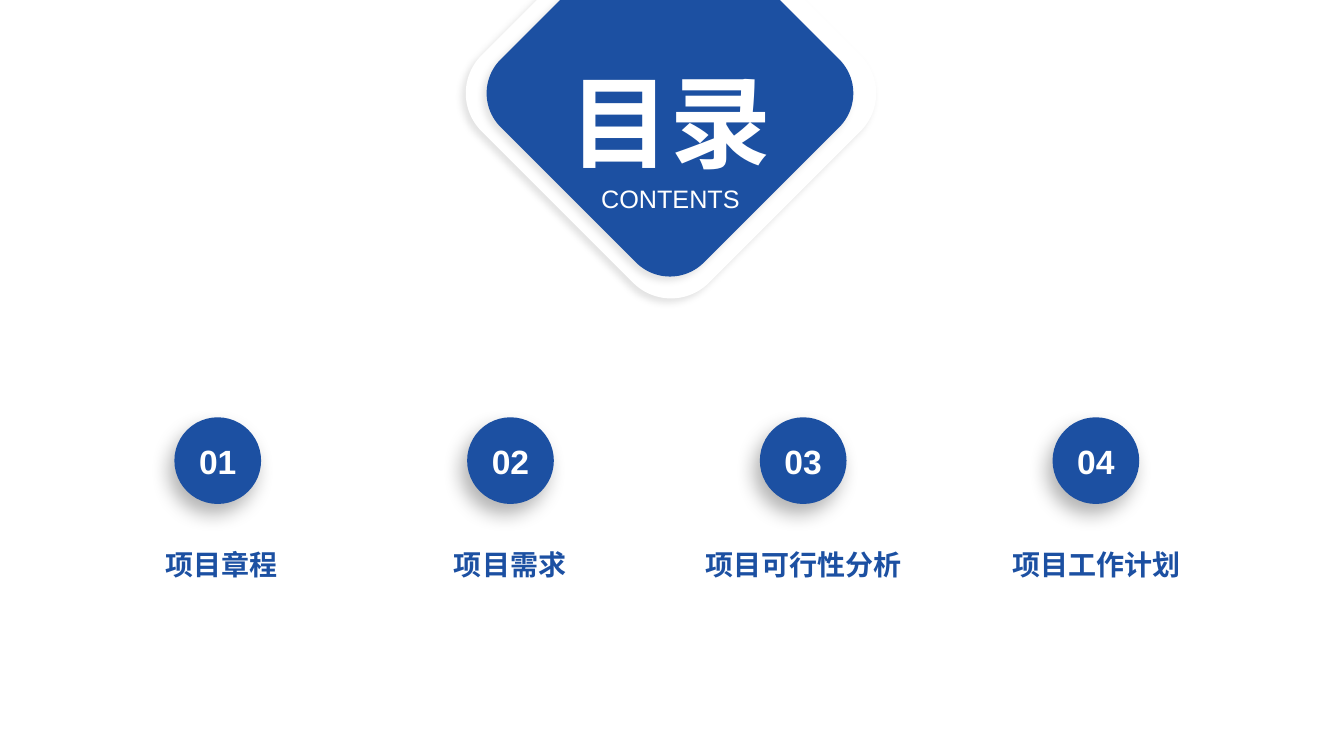
from lxml import etree
from pptx import Presentation
from pptx.dml.color import RGBColor
from pptx.enum.shapes import MSO_SHAPE
from pptx.enum.text import MSO_ANCHOR, MSO_AUTO_SIZE, PP_ALIGN
from pptx.oxml.ns import qn
from pptx.util import Inches, Pt

ROUNDED, OVAL = MSO_SHAPE.ROUNDED_RECTANGLE, MSO_SHAPE.OVAL
CENTER, MIDDLE = PP_ALIGN.CENTER, MSO_ANCHOR.MIDDLE
GROW = MSO_AUTO_SIZE.SHAPE_TO_FIT_TEXT
COLORS = {"white": "FFFFFF", "blue": "1C50A2", "shadow": "000000"}


def add_shadowed(kind, left, top, size, color, alpha, blur, dist, angle):
    sp = s.shapes.add_shape(kind, Inches(left), Inches(top), Inches(size), Inches(size))
    sp.shadow.inherit = False
    sp.fill.solid()
    sp.fill.fore_color.rgb = RGBColor.from_string(COLORS[color])
    sp.line.fill.background()
    effects = sp._element.spPr.find(qn("a:effectLst"))
    shadow = etree.SubElement(effects, qn("a:outerShdw"), blurRad=str(Pt(blur)),
                              dist=str(Pt(dist)), dir=str(angle * 60000),
                              algn="ctr", rotWithShape="0")
    tint = etree.SubElement(shadow, qn("a:srgbClr"), val=COLORS["shadow"])
    etree.SubElement(tint, qn("a:alpha"), val=str(alpha * 1000))
    return sp


def add_text(sp, text, size, font, color, bold):
    tf = sp.text_frame
    tf.word_wrap = True
    p = tf.paragraphs[0]
    p.alignment = CENTER
    r = p.add_run()
    r.text = text
    r.font.size = Pt(size)
    r.font.name = font
    r.font.bold = bold
    r.font.color.rgb = RGBColor.from_string(COLORS[color])
    return tf


prs = Presentation()
prs.slide_width, prs.slide_height = Inches(13.33), Inches(7.5)
s = prs.slides.add_slide(prs.slide_layouts[6])

for left, top, size, color in [(5.06, -0.67, 3.19, "white"), (5.22, -0.5, 2.85, "blue")]:
    diamond = add_shadowed(ROUNDED, left, top, size, color, 11, 5, 4, 135)
    diamond.rotation = 45

for top, height, text, size, font, bold in [
    (0.54, 1.31, "目录", 72, "Calibri", True),
    (1.77, 0.4, "CONTENTS", 18, "Arial", False),
]:
    heading = s.shapes.add_textbox(Inches(4.75), Inches(top), Inches(3.8), Inches(height))
    add_text(heading, text, size, font, "white", bold).auto_size = GROW

sections = [(1.05, "项目章程"), (3.91, "项目需求"), (6.82, "项目可行性分析"), (9.73, "项目工作计划")]
for i, (left, title) in enumerate(sections):
    circle = add_shadowed(OVAL, 1.73 + 2.9033 * i, 4.14, 0.86, "blue", 30, 14, 8, 120)
    tf = add_text(circle, f"{i + 1:02}", 24, "Arial", "white", True)
    tf.vertical_anchor = MIDDLE

    label = s.shapes.add_textbox(Inches(left), Inches(5.39), Inches(2.3), Inches(0.41))
    tf = add_text(label, title, 20, "Calibri", "blue", True)
    tf.margin_left = tf.margin_right = Inches(0.07)
    tf.margin_top = tf.margin_bottom = Inches(0.04)
    tf.auto_size = GROW

prs.save("out.pptx")
